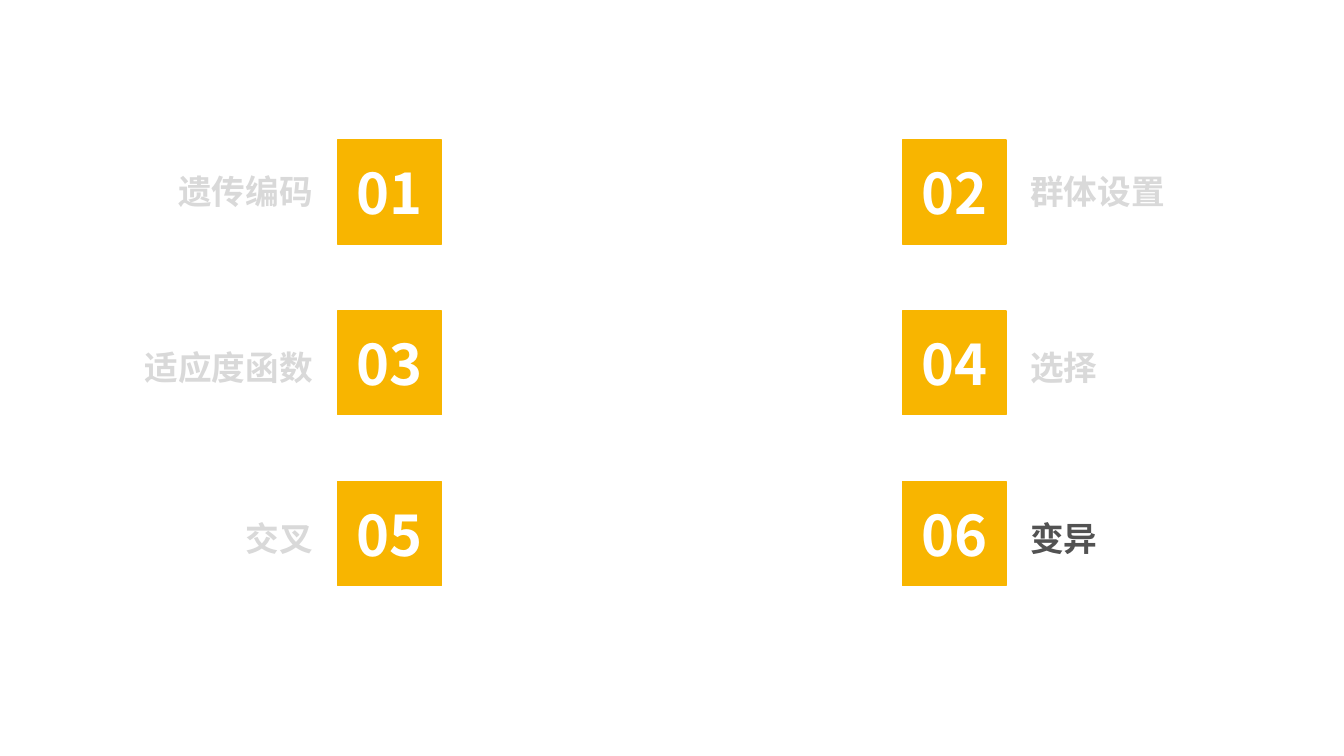
from lxml import etree
from pptx import Presentation
from pptx.dml.color import RGBColor
from pptx.enum.shapes import MSO_SHAPE
from pptx.enum.text import MSO_ANCHOR, MSO_AUTO_SIZE, PP_ALIGN
from pptx.oxml.ns import qn
from pptx.util import Inches, Pt

RECT = MSO_SHAPE.RECTANGLE
MIDDLE = MSO_ANCHOR.MIDDLE
FIT = MSO_AUTO_SIZE.SHAPE_TO_FIT_TEXT
LEFT, CENTER, RIGHT = PP_ALIGN.LEFT, PP_ALIGN.CENTER, PP_ALIGN.RIGHT

# Content, read row by row
TOPICS = ["遗传编码", "群体设置", "适应度函数", "选择", "交叉", "变异"]
CURRENT = "变异"

FONT = "Noto Sans CJK SC"
COLORS = {"tile": "F8B500", "number": "FFFFFF", "muted": "D9D9D9", "current": "525252"}

# Layout in inches: (tile left, label left, label alignment) per column
COLUMNS = [(3.35, 0.21, RIGHT), (8.95, 10.12, LEFT)]
TILE = 1.03
FIRST_TOP, ROW_STEP = 1.39, 1.695
LABEL_W, LABEL_H = 2.99, 0.5
LABEL_DROPS = [0.26, 0.31, 0.31]


def rgb(name):
    return RGBColor.from_string(COLORS[name])


def write(tf, text, size, color, align):
    p = tf.paragraphs[0]
    p.text = text
    p.alignment = align
    f = p.font
    f.name, f.size, f.bold = FONT, Pt(size), True
    f.color.rgb = rgb(color)
    # East Asian typeface for the Chinese characters
    props = p._p.pPr.find(qn("a:defRPr"))
    etree.SubElement(props, qn("a:ea")).set("typeface", FONT)


def add_tile(s, number, left, top):
    sp = s.shapes.add_shape(RECT, Inches(left), Inches(top), Inches(TILE), Inches(TILE))
    sp.shadow.inherit = False
    sp.fill.solid()
    sp.fill.fore_color.rgb = rgb("tile")
    sp.line.color.rgb = rgb("tile")
    sp.line.width = Pt(1)
    sp.text_frame.vertical_anchor = MIDDLE
    write(sp.text_frame, f"{number:02d}", 40, "number", CENTER)


def add_label(s, text, left, top, align):
    box = s.shapes.add_textbox(Inches(left), Inches(top), Inches(LABEL_W), Inches(LABEL_H))
    tf = box.text_frame
    tf.word_wrap = True
    tf.auto_size = FIT
    write(tf, text, 24, "current" if text == CURRENT else "muted", align)


def main():
    prs = Presentation()
    prs.slide_width, prs.slide_height = Inches(13.33), Inches(7.5)
    s = prs.slides.add_slide(prs.slide_layouts[6])

    # Numbered tiles with their labels on the outer side
    for i, topic in enumerate(TOPICS):
        row, col = divmod(i, len(COLUMNS))
        tile_left, label_left, align = COLUMNS[col]
        top = FIRST_TOP + row * ROW_STEP
        add_tile(s, i + 1, tile_left, top)
        add_label(s, topic, label_left, top + LABEL_DROPS[row], align)

    prs.save("out.pptx")


if __name__ == "__main__":
    main()
